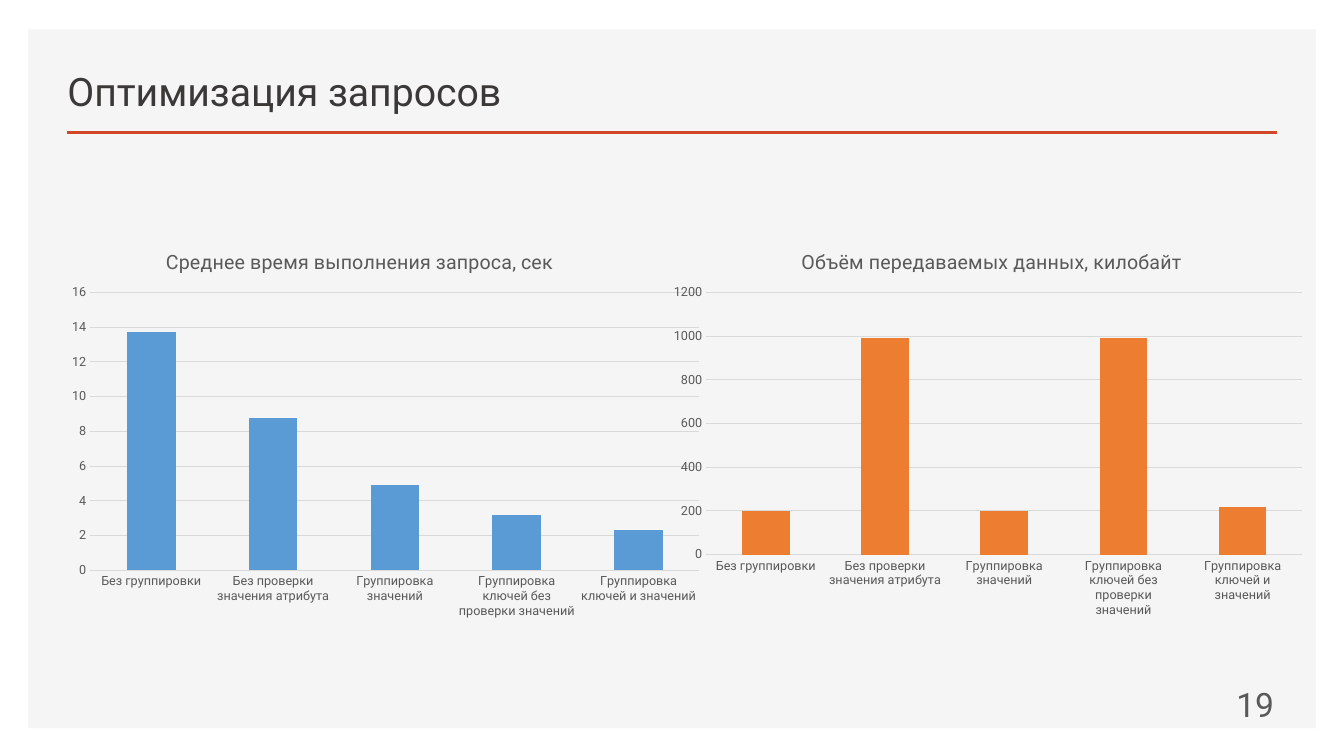
from lxml import etree
from pptx import Presentation
from pptx.chart.data import CategoryChartData
from pptx.dml.color import RGBColor
from pptx.enum.chart import XL_CHART_TYPE, XL_TICK_MARK
from pptx.enum.shapes import MSO_CONNECTOR, MSO_SHAPE
from pptx.enum.text import MSO_ANCHOR, PP_ALIGN
from pptx.oxml import parse_xml
from pptx.oxml.ns import nsdecls, qn
from pptx.util import Cm, Pt

CLUSTERED = XL_CHART_TYPE.COLUMN_CLUSTERED
STACKED = XL_CHART_TYPE.COLUMN_STACKED
NO_TICK = XL_TICK_MARK.NONE
STRAIGHT = MSO_CONNECTOR.STRAIGHT
RECTANGLE = MSO_SHAPE.RECTANGLE
BOTTOM, MIDDLE = MSO_ANCHOR.BOTTOM, MSO_ANCHOR.MIDDLE
LEFT, RIGHT = PP_ALIGN.LEFT, PP_ALIGN.RIGHT

PANEL, ACCENT, HEADING, GREY, GRID = "F5F5F5", "D24726", "3B3838", "595959", "D9D9D9"
CATEGORIES = [
    "Без группировки",
    "Без проверки значения атрибута",
    "Группировка значений",
    "Группировка ключей без проверки значений",
    "Группировка ключей и значений",
]


def color(value):
    return RGBColor.from_string(value)


def place(parent, index, **fractions):
    """Give a chart part a manual layout, in fractions of the chart."""
    for old in parent.findall(qn("c:layout")):
        parent.remove(old)
    modes = '<c:xMode val="edge"/><c:yMode val="edge"/>'
    if "w" in fractions:
        modes = '<c:layoutTarget val="inner"/>' + modes
    sizes = "".join(f'<c:{key} val="{value}"/>' for key, value in fractions.items())
    parent.insert(index, parse_xml(
        f'<c:layout {nsdecls("c")}><c:manualLayout>{modes}{sizes}</c:manualLayout></c:layout>'))


class SlideBuilder:
    font_name = "Roboto"

    def __init__(self, deck):
        self.slide = deck.slides.add_slide(deck.slide_layouts[6])

    def style(self, font, size, font_color):
        font.name, font.size, font.bold = self.font_name, Pt(size), False
        font.color.rgb = color(font_color)

    def panel(self, x, y, width, height, fill):
        shape = self.slide.shapes.add_shape(RECTANGLE, Cm(x), Cm(y), Cm(width), Cm(height))
        shape.shadow.inherit = False
        shape.fill.solid()
        shape.fill.fore_color.rgb = color(fill)
        shape.line.fill.background()

    def rule(self, x1, x2, y, line_color, width):
        line = self.slide.shapes.add_connector(STRAIGHT, Cm(x1), Cm(y), Cm(x2), Cm(y))
        line.line.color.rgb = color(line_color)
        line.line.width = Pt(width)
        etree.SubElement(line.element.spPr, qn("a:effectLst"))

    def text(self, x, y, width, height, words, size, font_color, anchor, align=LEFT):
        box = self.slide.shapes.add_textbox(Cm(x), Cm(y), Cm(width), Cm(height))
        frame = box.text_frame
        frame.word_wrap = True
        frame.vertical_anchor = anchor
        para = frame.paragraphs[0]
        para.alignment = align
        span = para.add_run()
        span.text = words
        self.style(span.font, size, font_color)

    def column_chart(self, x, kind, title, series_name, values, fill, top, step, title_x, plot):
        data = CategoryChartData()
        data.categories = CATEGORIES
        data.add_series(series_name, values)
        chart = self.slide.shapes.add_chart(
            kind, Cm(x), Cm(5.77), Cm(16.51), Cm(10.01), data).chart
        self.style(chart.font, 10, "000000")
        chart.has_legend = False

        chart.has_title = True
        span = chart.chart_title.text_frame.paragraphs[0].add_run()
        span.text = title
        self.style(span.font, 14, GREY)
        place(chart.chart_title.element, 1, x=title_x, y=0.04)
        place(chart.element.find(".//" + qn("c:plotArea")), 0, **plot)

        for axis in (chart.category_axis, chart.value_axis):
            axis.major_tick_mark = axis.minor_tick_mark = NO_TICK
            axis.format.line.fill.background()
            self.style(axis.tick_labels.font, 9, GREY)
        scale = chart.value_axis
        scale.minimum_scale, scale.maximum_scale, scale.major_unit = 0, top, step
        scale.major_gridlines.format.line.color.rgb = color(GRID)
        scale.major_gridlines.format.line.width = Pt(0.75)

        columns = chart.plots[0]
        columns.gap_width = 150
        columns.vary_by_categories = False
        columns.series[0].format.fill.solid()
        columns.series[0].format.fill.fore_color.rgb = color(fill)


def main():
    deck = Presentation()
    deck.slide_width, deck.slide_height = Cm(33.87), Cm(19.05)
    page = SlideBuilder(deck)
    page.panel(0.71, 0.74, 32.46, 17.61, PANEL)
    page.rule(1.68, 32.18, 3.33, ACCENT, 2)
    page.text(1.45, 1.24, 19.1, 1.78, "Оптимизация запросов", 28, HEADING, BOTTOM)
    page.text(23.27, 17.22, 9.09, 1.02, "19", 24, GREY, MIDDLE, RIGHT)

    time_title = "Среднее время выполнения запроса, сек"
    page.column_chart(
        1.45, CLUSTERED, time_title, time_title, [13.7, 8.8, 4.9, 3.2, 2.3], "5B9BD5",
        top=16, step=2, title_x=0.16, plot=dict(x=0.05, y=0.16, w=0.93, h=0.7))
    page.column_chart(
        16.64, STACKED, "Объём передаваемых данных, килобайт", "Series 1",
        [200, 990, 200, 990, 220], "ED7D31",
        top=1200, step=200, title_x=0.21, plot=dict(x=0.07, y=0.16, w=0.91, h=0.66))
    deck.save("out.pptx")


if __name__ == "__main__":
    main()
